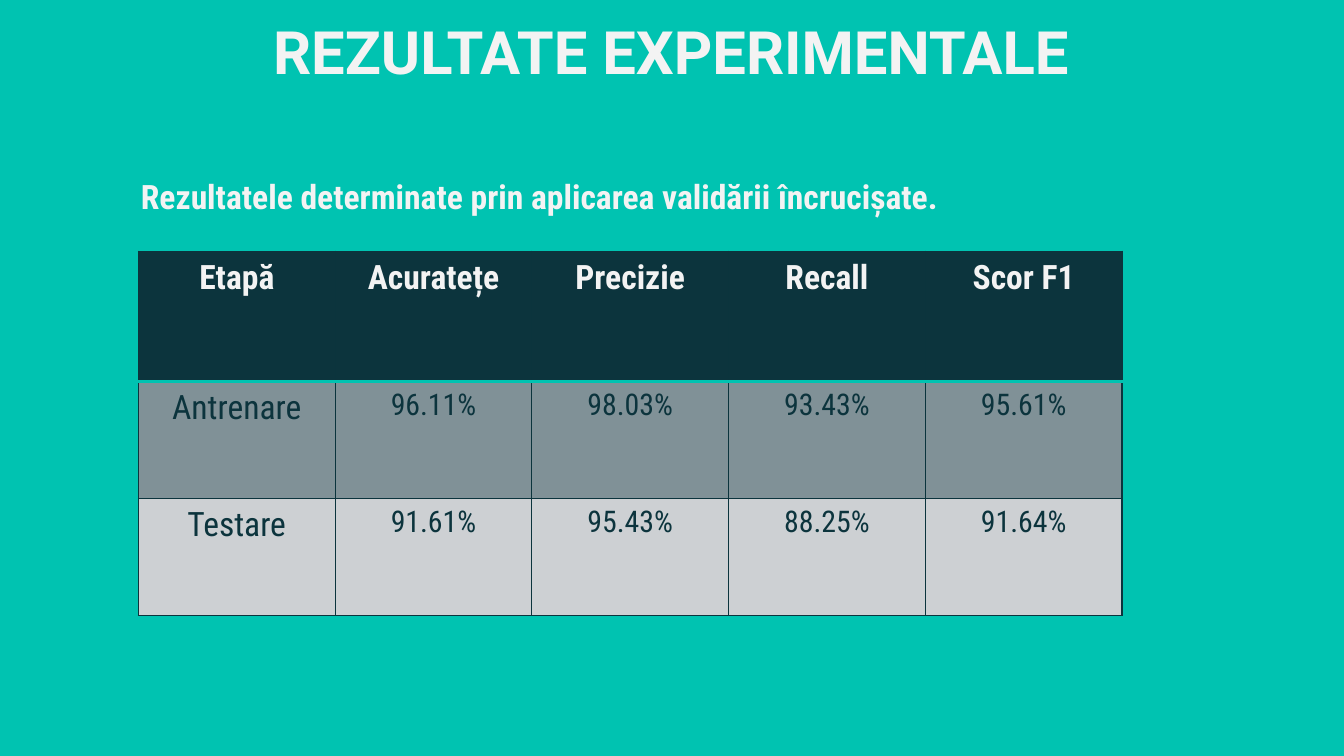
from lxml.etree import SubElement
from pptx import Presentation
from pptx.dml.color import RGBColor
from pptx.enum.text import MSO_ANCHOR, MSO_AUTO_SIZE, PP_ALIGN
from pptx.oxml.ns import qn
from pptx.util import Inches, Pt

COLORS = {
    "background": "00C3B1",
    "light": "F3F3F3",
    "dark": "0C343D",
    "border": "0B343D",
    "band_dark": "809197",
    "band_light": "CDD0D3",
}
SLIDE_WIDTH = 10
SLIDE_HEIGHT = SLIDE_WIDTH * 9 / 16
BODY_FONT = "Roboto Condensed"
RESULTS = [
    ["Etapă", "Acuratețe", "Precizie", "Recall", "Scor F1"],
    ["Antrenare", "96.11%", "98.03%", "93.43%", "95.61%"],
    ["Testare", "91.61%", "95.43%", "88.25%", "91.64%"],
]
ROW_HEIGHTS = [0.97, 0.87, 0.87]
ROW_FILLS = ["dark", "band_dark", "band_light"]


def rgb(name):
    return RGBColor.from_string(COLORS[name])


def add_run(paragraph, text, size, color, font=BODY_FONT, bold=False):
    run = paragraph.add_run()
    run.text = text
    run.font.name = font
    run.font.size = Pt(size)
    run.font.bold = bold
    run.font.color.rgb = rgb(color)


def place(shape, box):
    shape.left, shape.top, shape.width, shape.height = map(Inches, box)


def format_frame(frame):
    frame.word_wrap = True
    frame.auto_size = MSO_AUTO_SIZE.NONE
    frame.vertical_anchor = MSO_ANCHOR.MIDDLE
    frame.margin_left = frame.margin_right = Inches(0.1)
    frame.margin_top = frame.margin_bottom = Inches(0.1)


def add_title(slide, box):
    title = slide.shapes.title
    place(title, box)
    format_frame(title.text_frame)
    paragraph = title.text_frame.paragraphs[0]
    paragraph.alignment = PP_ALIGN.CENTER
    add_run(paragraph, "REZULTATE EXPERIMENTALE", 32, "light", "Roboto", True)


def add_caption(slide, box):
    caption = slide.shapes.add_textbox(*map(Inches, box))
    format_frame(caption.text_frame)
    paragraph = caption.text_frame.paragraphs[0]
    properties = paragraph._p.get_or_add_pPr()
    properties.set("marL", str(Inches(0.5)))
    properties.set("indent", str(Inches(-0.33)))
    add_run(paragraph, "Rezultatele determinate prin aplicarea validării încrucișate.",
            18, "light", bold=True)


def set_border(cell, side, color, width):
    line = SubElement(cell._tc.get_or_add_tcPr(), qn(f"a:ln{side}"), w=str(Pt(width)))
    fill = SubElement(line, qn("a:solidFill"))
    SubElement(fill, qn("a:srgbClr"), val=COLORS[color])


def format_cell(cell, text, row, column):
    # Borders come before the fill; the header is set off by a background line
    for side in "LRTB":
        separator = (row, side) in ((0, "B"), (1, "T"))
        set_border(cell, side, *(("background", 2) if separator else ("border", 0.75)))
    cell.fill.solid()
    cell.fill.fore_color.rgb = rgb(ROW_FILLS[row])

    header = row == 0
    paragraph = cell.text_frame.paragraphs[0]
    paragraph.alignment = PP_ALIGN.CENTER
    add_run(paragraph, text, 18 if header or column == 0 else 16,
            "light" if header else "dark", bold=header)


def add_results_table(slide, box):
    frame = slide.shapes.add_table(len(RESULTS), len(RESULTS[0]), *map(Inches, box))
    table = frame.table
    for column in table.columns:
        column.width = Inches(box[2] / len(RESULTS[0]))
    for row, values in enumerate(RESULTS):
        table.rows[row].height = Inches(ROW_HEIGHTS[row])
        for column, text in enumerate(values):
            format_cell(table.cell(row, column), text, row, column)


def main():
    presentation = Presentation()
    presentation.slide_width = Inches(SLIDE_WIDTH)
    presentation.slide_height = Inches(SLIDE_HEIGHT)
    slide = presentation.slides.add_slide(presentation.slide_layouts[5])
    slide.background.fill.solid()
    slide.background.fill.fore_color.rgb = rgb("background")

    # Table, caption and title, from back to front
    add_results_table(slide, (1.03, 1.87, 7.32, sum(ROW_HEIGHTS)))
    add_caption(slide, (0.78, 1.21, 6.84, 0.49))
    add_title(slide, (0.95, -0.04, 8.09, 0.83))
    presentation.save("out.pptx")


if __name__ == "__main__":
    main()
